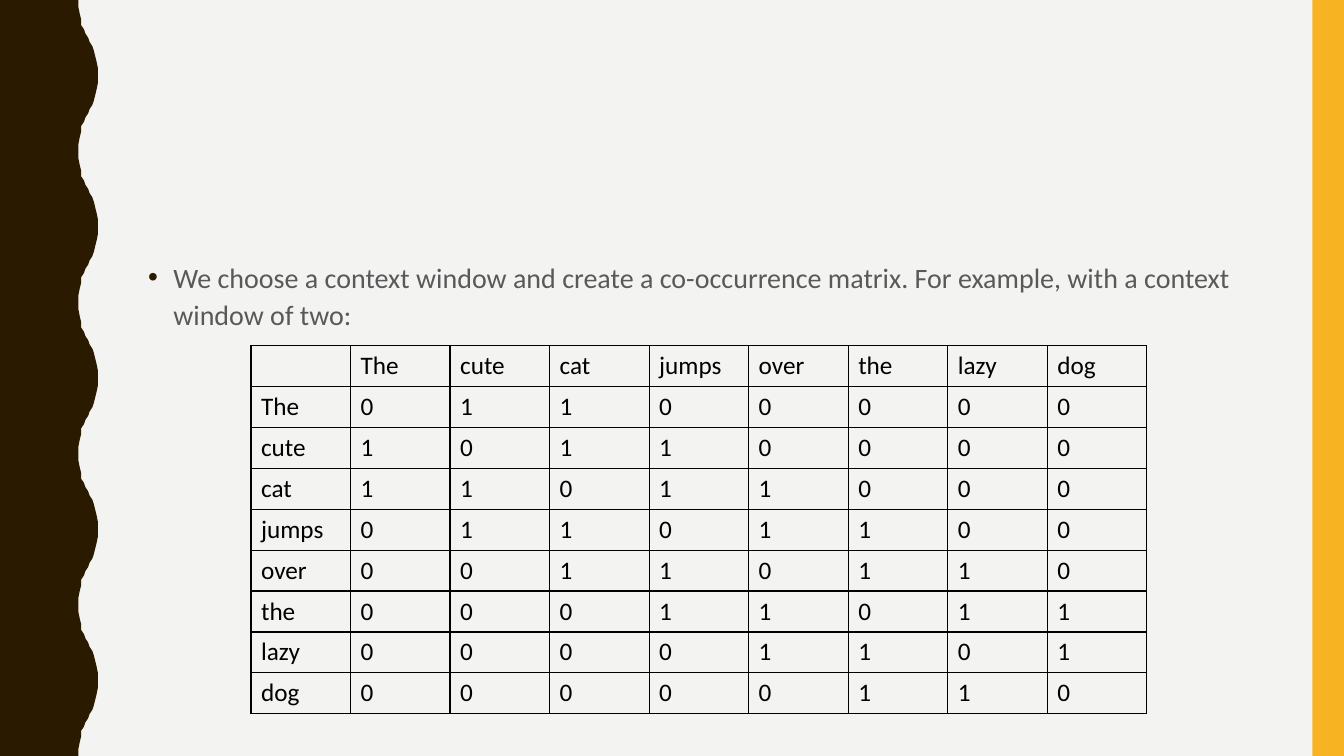
"""Build a slide that shows a word co-occurrence matrix."""
from dataclasses import dataclass

from lxml.etree import SubElement
from pptx import Presentation
from pptx.dml.color import RGBColor
from pptx.enum.shapes import MSO_SHAPE
from pptx.enum.text import MSO_ANCHOR, MSO_AUTO_SIZE, PP_ALIGN
from pptx.oxml import parse_xml
from pptx.oxml.ns import nsdecls, qn
from pptx.util import Pt


@dataclass(frozen=True)
class Theme:
    font: str = "Calibri"
    paper: str = "F3F3F2"
    dark: str = "2A1A00"
    gold: str = "F8B323"
    grey: str = "595959"
    ink: str = "000000"
    body: int = 20
    cell: int = 18


THEME = Theme()
WIDE, HIGH = 960, 540
WORDS = ["The", "cute", "cat", "jumps", "over", "the", "lazy", "dog"]
SPAN = 2
LEAD = ("We choose a context window and create a co-occurrence matrix. "
        "For example, with a context window of two:")
CREST = 108
CURVE = [(56.2, 0), (56.2, 5), (56.9, 10), (57.6, 14.4), (58.3, 18),
         (59.8, 20.9), (61.2, 23.8), (62.6, 27), (64.1, 30.2), (65.5, 33.1),
         (67, 36), (68.4, 39.6), (69.1, 43.9), (69.8, 49), (69.8, 54)]


def paint(shape, color):
    shape.fill.solid()
    shape.fill.fore_color.rgb = RGBColor.from_string(color)
    shape.line.fill.background()
    shape.shadow.inherit = False


def write(para, text, *, size, color, lines=1.0, before=0):
    para.alignment = PP_ALIGN.LEFT
    para.line_spacing = lines
    para.space_before = Pt(before)
    run = para.add_run()
    run.text = text
    run.font.name = THEME.font
    run.font.size = Pt(size)
    run.font.color.rgb = RGBColor.from_string(color)


def mark(para, color, indent):
    props = para._p.get_or_add_pPr()
    props.set("marL", str(Pt(indent)))
    props.set("indent", str(-Pt(indent)))
    tint = SubElement(props, qn("a:buClr"))
    SubElement(tint, qn("a:srgbClr"), val=color)
    SubElement(props, qn("a:buFont"), typeface="Arial")
    SubElement(props, qn("a:buChar"), char="•")


def add_wave(slide):
    whole = CURVE + [(x, CREST - y) for x, y in reversed(CURVE[:-1])]
    edge = [(x, y + CREST * turn)
            for turn in range(HIGH // CREST) for x, y in whole]
    pen = slide.shapes.build_freeform(0, 0, scale=Pt(1))
    pen.add_line_segments(edge + [(0, HIGH)], close=True)
    paint(pen.convert_to_shape(), THEME.dark)


def add_bar(slide):
    left = 937.4
    bar = slide.shapes.add_shape(
        MSO_SHAPE.RECTANGLE, Pt(left), 0, Pt(WIDE - left), Pt(HIGH))
    paint(bar, THEME.gold)


def fill_body(slide):
    body = slide.placeholders[1]
    body.left, body.top = Pt(98.6), Pt(180)
    body.width, body.height = Pt(801.4), Pt(283)
    frame = body.text_frame
    frame.auto_size = MSO_AUTO_SIZE.NONE
    frame.vertical_anchor = MSO_ANCHOR.TOP
    para = frame.paragraphs[0]
    write(para, LEAD, size=THEME.body, color=THEME.grey, lines=1.1, before=7)
    mark(para, THEME.dark, 18)


def frame_cell(cell):
    cell.fill.background()
    props = cell._tc.get_or_add_tcPr()
    for place, side in enumerate("LRTB"):
        props.insert(place, parse_xml(
            f'<a:ln{side} {nsdecls("a")} w="{Pt(1)}"><a:solidFill>'
            f'<a:srgbClr val="{THEME.ink}"/></a:solidFill></a:ln{side}>'))


def add_grid(slide, rows):
    count = len(rows)
    table = slide.shapes.add_table(
        count, count, Pt(179.3), Pt(247), Pt(640), Pt(262.8)).table
    table.first_row = table.horz_banding = False
    for row, texts in enumerate(rows):
        for col, text in enumerate(texts):
            cell = table.cell(row, col)
            frame_cell(cell)
            if text:
                write(cell.text_frame.paragraphs[0], text,
                      size=THEME.cell, color=THEME.ink)


def count_pairs():
    rows = [[""] + WORDS]
    for row, word in enumerate(WORDS):
        near = [str(int(0 < abs(row - col) <= SPAN))
                for col in range(len(WORDS))]
        rows.append([word] + near)
    return rows


def main():
    deck = Presentation()
    deck.slide_width, deck.slide_height = Pt(WIDE), Pt(HIGH)
    slide = deck.slides.add_slide(deck.slide_layouts[1])
    slide.background.fill.solid()
    slide.background.fill.fore_color.rgb = RGBColor.from_string(THEME.paper)
    title = slide.shapes.title.element
    title.getparent().remove(title)
    add_wave(slide)
    add_bar(slide)
    fill_body(slide)
    add_grid(slide, count_pairs())
    deck.save("out.pptx")


if __name__ == "__main__":
    main()
